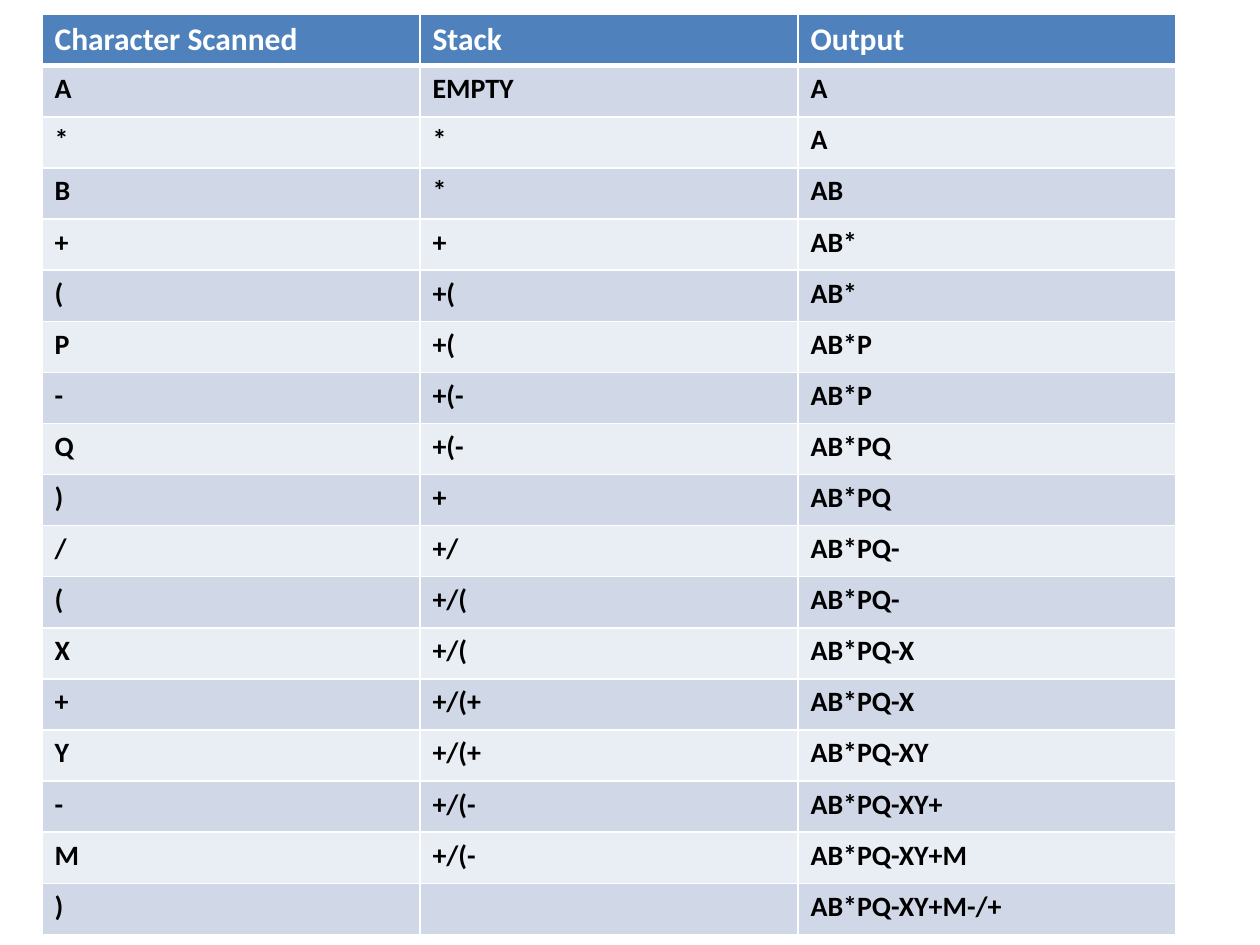
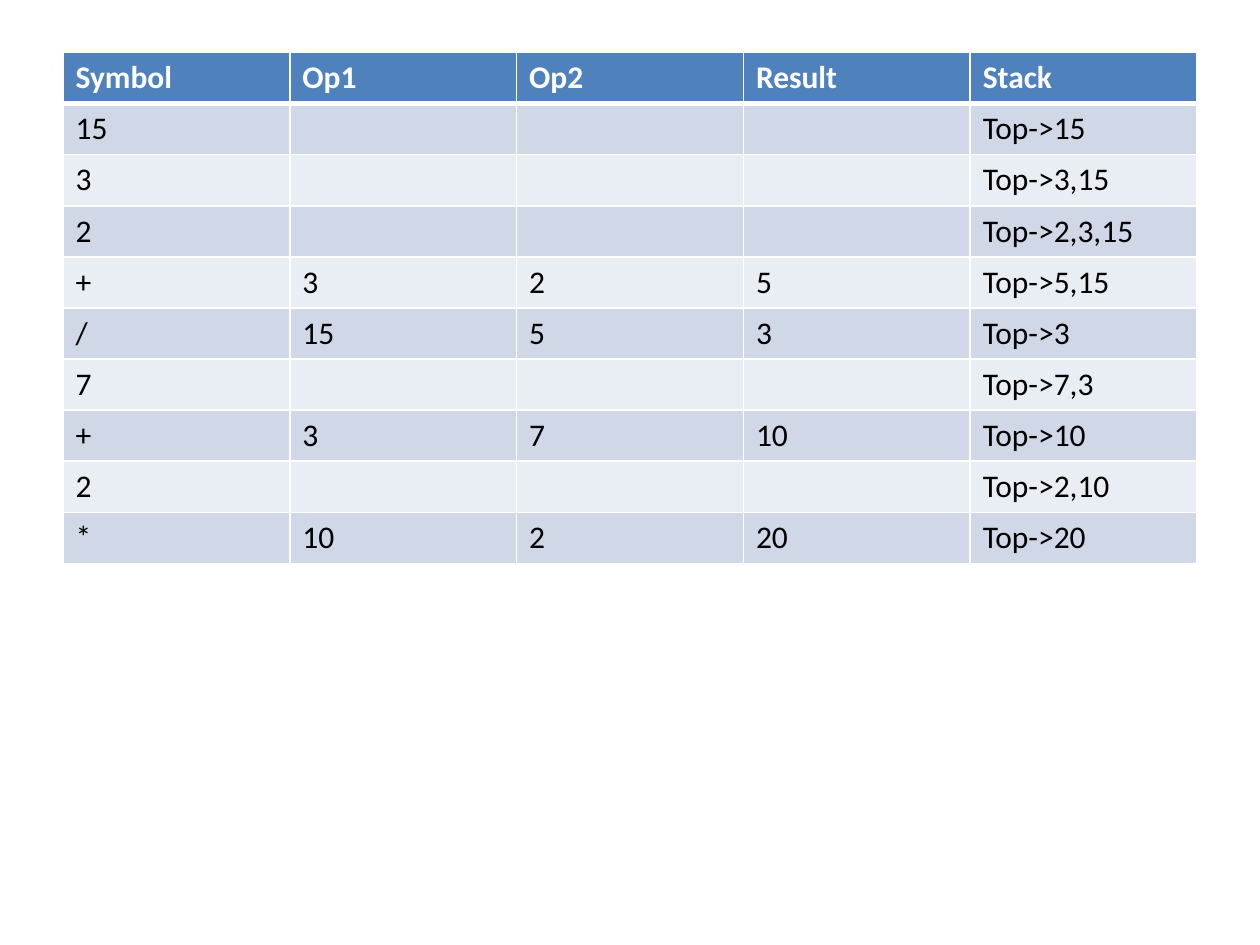
from lxml.etree import SubElement
from pptx import Presentation
from pptx.dml.color import RGBColor
from pptx.oxml.ns import qn
from pptx.util import Pt

WHITE = RGBColor(0xFF, 0xFF, 0xFF)
BLACK = RGBColor(0x00, 0x00, 0x00)
HEADER_BLUE = RGBColor(0x4F, 0x81, 0xBD)
BAND_DARK = RGBColor(0xD0, 0xD8, 0xE8)
BAND_LIGHT = RGBColor(0xE9, 0xED, 0xF4)

TABLE_WIDTH = 648
ROW_HEIGHT = 29.2
HEADER_FORMAT = {"name": "Calibri", "size": Pt(18), "bold": True}

POSTFIX_CONVERSION = [
    ("Character Scanned", "Stack", "Output"),
    ("A", "EMPTY", "A"),
    ("*", "*", "A"),
    ("B", "*", "AB"),
    ("+", "+", "AB*"),
    ("(", "+(", "AB*"),
    ("P", "+(", "AB*P"),
    ("-", "+(-", "AB*P"),
    ("Q", "+(-", "AB*PQ"),
    (")", "+", "AB*PQ"),
    ("/", "+/", "AB*PQ-"),
    ("(", "+/(", "AB*PQ-"),
    ("X", "+/(", "AB*PQ-X"),
    ("+", "+/(+", "AB*PQ-X"),
    ("Y", "+/(+", "AB*PQ-XY"),
    ("-", "+/(-", "AB*PQ-XY+"),
    ("M", "+/(-", "AB*PQ-XY+M"),
    (")", "", "AB*PQ-XY+M-/+"),
]

POSTFIX_EVALUATION = [
    ("Symbol", "Op1", "Op2", "Result", "Stack"),
    ("15", "", "", "", "Top->15"),
    ("3", "", "", "", "Top->3,15"),
    ("2", "", "", "", "Top->2,3,15"),
    ("+", "3", "2", "5", "Top->5,15"),
    ("/", "15", "5", "3", "Top->3"),
    ("7", "", "", "", "Top->7,3"),
    ("+", "3", "7", "10", "Top->10"),
    ("2", "", "", "", "Top->2,10"),
    ("*", "10", "2", "20", "Top->20"),
]

TABLES = [
    (POSTFIX_CONVERSION, 24, 8.4, {"name": "Calibri", "size": Pt(16), "bold": True}),
    (POSTFIX_EVALUATION, 36, 30, {"name": "Calibri", "size": Pt(18), "bold": False}),
]


def set_borders(cell, top, bottom):
    tcPr = cell._tc.get_or_add_tcPr()
    for tag, width in (("a:lnL", 1), ("a:lnR", 1), ("a:lnT", top), ("a:lnB", bottom)):
        ln = SubElement(tcPr, qn(tag), w=str(Pt(width)))
        SubElement(SubElement(ln, qn("a:solidFill")), qn("a:srgbClr"), val=str(WHITE))


prs = Presentation()
prs.slide_width, prs.slide_height = Pt(720), Pt(540)

for rows, left, top, body_format in TABLES:
    s = prs.slides.add_slide(prs.slide_layouts[6])
    n_rows, n_cols = len(rows), len(rows[0])
    table = s.shapes.add_table(n_rows, n_cols, Pt(left), Pt(top),
                               Pt(TABLE_WIDTH), Pt(ROW_HEIGHT * n_rows)).table
    for column in table.columns:
        column.width = Pt(TABLE_WIDTH / n_cols)

    for i, row in enumerate(rows):
        table.rows[i].height = Pt(ROW_HEIGHT)
        if i == 0:
            fill, color, text_format = HEADER_BLUE, WHITE, HEADER_FORMAT
        else:
            fill, color, text_format = BAND_DARK if i % 2 else BAND_LIGHT, BLACK, body_format
        for j, text in enumerate(row):
            cell = table.cell(i, j)
            set_borders(cell, 3 if i == 1 else 1, 3 if i == 0 else 1)
            cell.fill.solid()
            cell.fill.fore_color.rgb = fill
            if text:
                r = cell.text_frame.paragraphs[0].add_run()
                r.text = text
                r.font.color.rgb = color
                for key, value in text_format.items():
                    setattr(r.font, key, value)

prs.save("out.pptx")
